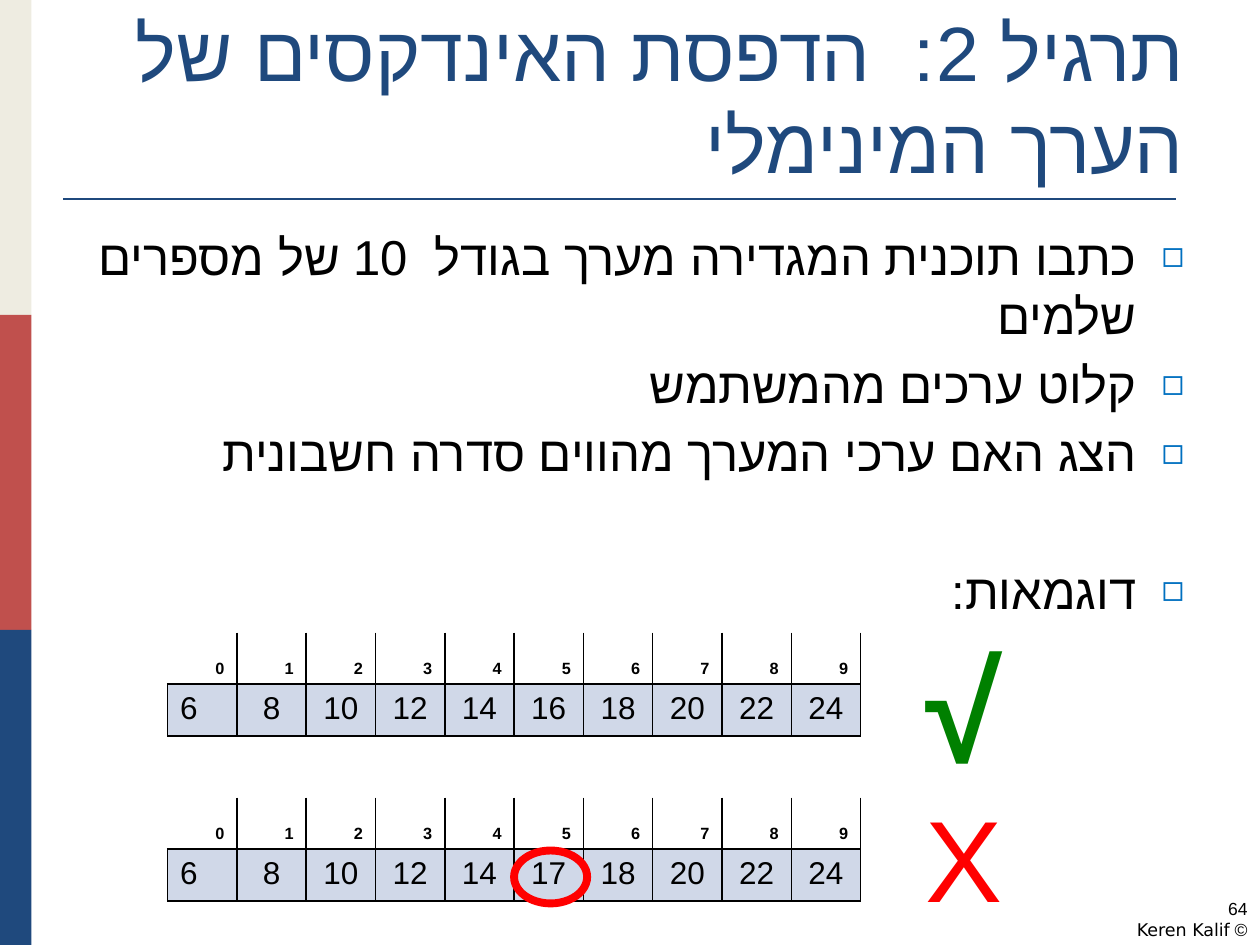
from lxml import etree
from pptx import Presentation
from pptx.dml.color import RGBColor
from pptx.enum.shapes import MSO_CONNECTOR, MSO_SHAPE
from pptx.enum.text import MSO_ANCHOR, MSO_AUTO_SIZE, PP_ALIGN
from pptx.oxml.ns import qn
from pptx.util import Inches, Pt

NAVY = RGBColor(0x1F, 0x49, 0x7D)
CREAM = RGBColor(0xEE, 0xEC, 0xE1)
BRICK = RGBColor(0xC0, 0x50, 0x4D)
BULLET = RGBColor(0x00, 0x70, 0xC0)
CELL = RGBColor(0xD0, 0xD8, 0xE8)
GREEN = RGBColor(0x00, 0x80, 0x00)
RED = RGBColor(0xFF, 0x00, 0x00)
BLACK = RGBColor(0x00, 0x00, 0x00)


def add_run(p, text, size, font, color=BLACK, bold=False):
    r = p.add_run()
    r.text = text
    r.font.size, r.font.name, r.font.bold = Pt(size), font, bold
    r.font.color.rgb = color
    return r


def add_rtl_run(p, text, size, font, color=BLACK):
    """Right-to-left paragraph, with Arial for the complex script."""
    p.alignment = PP_ALIGN.RIGHT
    p._p.get_or_add_pPr().set("rtl", "1")
    r = add_run(p, text, size, font, color)
    etree.SubElement(r._r.get_or_add_rPr(), qn("a:cs")).set("typeface", "Arial")


def place(sp, left, top, width, height):
    sp.left, sp.top = Inches(left), Inches(top)
    sp.width, sp.height = Inches(width), Inches(height)


def add_side_bands(s, left, top, width, height):
    colors = (CREAM, BRICK, NAVY)
    band = height / len(colors)
    for i, color in enumerate(colors):
        sp = s.shapes.add_shape(MSO_SHAPE.RECTANGLE, Inches(left), Inches(top + i * band),
                                Inches(width), Inches(band))
        sp.shadow.inherit = False
        sp.fill.solid()
        sp.fill.fore_color.rgb = color
        sp.line.fill.background()


def fill_title(s, text, left, top, width, height):
    sp = s.shapes.title
    place(sp, left, top, width, height)
    tf = sp.text_frame
    tf.auto_size = MSO_AUTO_SIZE.NONE
    tf.vertical_anchor = MSO_ANCHOR.BOTTOM
    add_rtl_run(tf.paragraphs[0], text, 44, "Times New Roman", NAVY)

    # Rule under the title
    y = Inches(top + height + 0.03)
    rule = s.shapes.add_connector(MSO_CONNECTOR.STRAIGHT, Inches(left), y, Inches(9.33), y)
    rule.line.color.rgb, rule.line.width = NAVY, Pt(1.5)
    etree.SubElement(rule._element.spPr, qn("a:effectLst"))


def add_bullet(p):
    pPr = p._p.get_or_add_pPr()
    pPr.set("marL", str(Inches(0.38)))
    pPr.set("indent", str(-Inches(0.38)))
    color = etree.SubElement(pPr, qn("a:buClr"))
    etree.SubElement(color, qn("a:srgbClr")).set("val", str(BULLET))
    etree.SubElement(pPr, qn("a:buSzPct")).set("val", "75000")
    etree.SubElement(pPr, qn("a:buChar")).set("char", "◻")


def fill_body(s, items, left, top, width, height):
    sp = s.placeholders[1]
    place(sp, left, top, width, height)
    tf = sp.text_frame
    tf.auto_size = MSO_AUTO_SIZE.NONE
    for i, (text, space) in enumerate(items):
        p = tf.paragraphs[0] if i == 0 else tf.add_paragraph()
        add_bullet(p)
        p.space_before = Pt(space)
        add_rtl_run(p, text, 28, "DejaVu Sans")


def set_borders(cell, sides):
    tcPr = cell._tc.get_or_add_tcPr()
    for i, side in enumerate(("lnL", "lnR", "lnT", "lnB")):
        ln = etree.Element(qn("a:" + side), w=str(Pt(1)))
        if side[-1] in sides:
            fill = etree.SubElement(ln, qn("a:solidFill"))
            etree.SubElement(fill, qn("a:srgbClr")).set("val", str(BLACK))
        else:
            etree.SubElement(ln, qn("a:noFill"))
        tcPr.insert(i, ln)


def add_array(s, values, left, top, width, height):
    """An index row above a row of boxed values."""
    n = len(values)
    table = s.shapes.add_table(2, n, Inches(left), Inches(top),
                               Inches(width), Inches(height)).table
    table.first_row = table.horz_banding = False
    for row in table.rows:
        row.height = Inches(height / 2)
    for i, value in enumerate(values):
        table.columns[i].width = Inches(width / n)
        index, box = table.cell(0, i), table.cell(1, i)

        index.fill.background()
        index.vertical_anchor = MSO_ANCHOR.BOTTOM
        p = index.text_frame.paragraphs[0]
        p.alignment = PP_ALIGN.RIGHT
        r = add_run(p, str(i), 16, "Arial", bold=True)
        r._r.get_or_add_rPr().set("baseline", "-25000")
        set_borders(index, "RB" if i == 0 else "LRB")

        box.fill.solid()
        box.fill.fore_color.rgb = CELL
        p = box.text_frame.paragraphs[0]
        p.alignment = PP_ALIGN.LEFT if i == 0 else PP_ALIGN.CENTER
        add_run(p, str(value), 18, "Arial")
        set_borders(box, "LRTB")


def add_ring(s, left, top, width, height):
    sp = s.shapes.add_shape(MSO_SHAPE.OVAL, Inches(left), Inches(top),
                            Inches(width), Inches(height))
    sp.shadow.inherit = False
    sp.fill.background()
    sp.line.color.rgb, sp.line.width = RED, Pt(4.5)


def add_text_box(s, left, top, width, height):
    tf = s.shapes.add_textbox(Inches(left), Inches(top),
                              Inches(width), Inches(height)).text_frame
    tf.word_wrap = True
    return tf


def add_mark(s, text, size, color, bold, left, top, width, height):
    tf = add_text_box(s, left, top, width, height)
    add_run(tf.paragraphs[0], text, size, "Arial", color, bold)


def add_footer(s, lines, left, top, width, height):
    tf = add_text_box(s, left, top, width, height)
    for i, text in enumerate(lines):
        p = tf.paragraphs[0] if i == 0 else tf.add_paragraph()
        add_rtl_run(p, text, 10, "DejaVu Sans")


def main():
    prs = Presentation()
    prs.slide_width, prs.slide_height = Inches(10), Inches(7.5)
    s = prs.slides.add_slide(prs.slide_layouts[1])

    add_side_bands(s, 0, 0, 0.25, 7.5)
    fill_title(s, "תרגיל 2:  הדפסת האינדקסים של הערך המינימלי", 0.5, 0.3, 9, 1.25)
    fill_body(s, [
        ("כתבו תוכנית המגדירה מערך בגודל  10 של מספרים שלמים", 0),
        ("קלוט ערכים מהמשתמש", 5.6),
        ("הצג האם ערכי המערך מהווים סדרה חשבונית", 5.6),
        ("דוגמאות:", 45),
    ], 0.5, 1.75, 9, 4.95)

    # Arithmetic sequence, then one broken at index 5
    sequence = list(range(6, 26, 2))
    broken = sequence[:5] + [17] + sequence[6:]
    add_array(s, sequence, 1.33, 5.02, 5.5, 0.82)
    add_array(s, broken, 1.33, 6.33, 5.5, 0.82)
    add_ring(s, 4.08, 6.75, 0.58, 0.42)
    add_mark(s, "√", 80, GREEN, True, 7.25, 4.89, 2.42, 1.45)
    add_mark(s, "X", 66, RED, False, 7.25, 6.2, 2.42, 1.21)

    add_footer(s, ["64", "© Keren Kalif"], 7.67, 7.08, 2.33, 0.42)
    prs.save("out.pptx")


if __name__ == "__main__":
    main()
